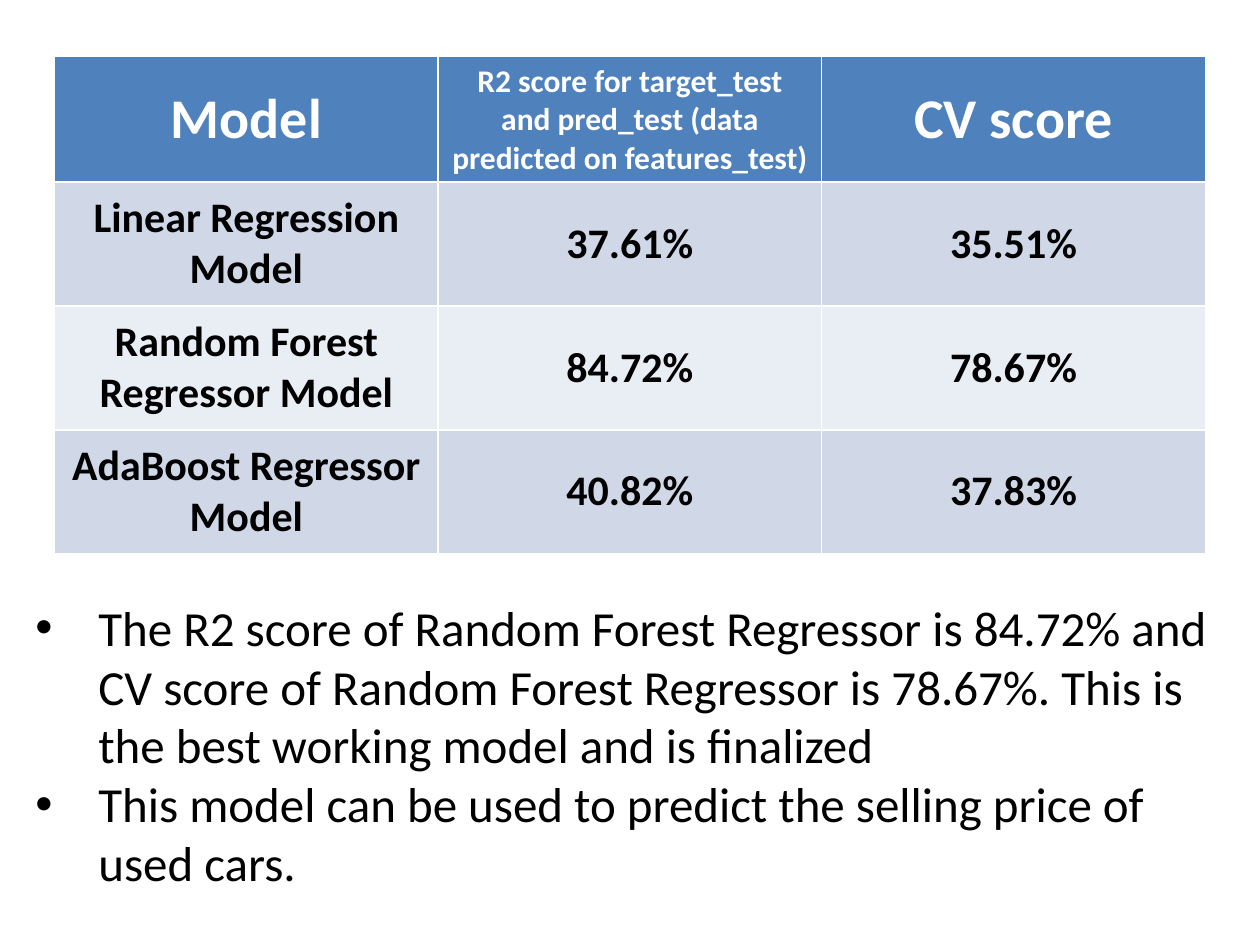
from lxml.etree import SubElement
from pptx import Presentation
from pptx.dml.color import RGBColor
from pptx.enum.text import MSO_ANCHOR, MSO_AUTO_SIZE, PP_ALIGN
from pptx.oxml.ns import qn
from pptx.util import Pt

FONT = "Calibri"
WHITE, BLACK = "FFFFFF", "000000"
HEADER_FILL = "4F81BD"
BAND_FILLS = ("D0D8E8", "E9EDF4")

HEADERS = (
    ("Model", 32),
    ("R2 score for target_test and pred_test (data predicted on features_test)", 18),
    ("CV score", 32),
)
SCORES = (
    ("Linear Regression Model", "37.61%", "35.51%"),
    ("Random Forest Regressor Model", "84.72%", "78.67%"),
    ("AdaBoost Regressor Model", "40.82%", "37.83%"),
)
CONCLUSIONS = (
    "The R2 score of Random Forest Regressor is 84.72% and CV score of Random "
    "Forest Regressor is 78.67%. This is the best working model and is finalized",
    "This model can be used to predict the selling price of used cars.",
)


def color(hex_string):
    return RGBColor.from_string(hex_string)


def write_text(paragraph, text, *, size, text_color=BLACK, bold=False, align=PP_ALIGN.LEFT):
    paragraph.alignment = align
    run = paragraph.add_run()
    run.text = text
    run.font.name = FONT
    run.font.size = Pt(size)
    run.font.bold = bold
    run.font.color.rgb = color(text_color)


def fill_cell(cell, text, fill, **text_format):
    cell.fill.solid()
    cell.fill.fore_color.rgb = color(fill)
    cell.vertical_anchor = MSO_ANCHOR.MIDDLE
    write_text(cell.text_frame.paragraphs[0], text, bold=True,
               align=PP_ALIGN.CENTER, **text_format)


def add_score_table(slide):
    """Add the table; its default style draws the white rules between cells."""
    rows, columns = len(SCORES) + 1, len(HEADERS)
    frame = slide.shapes.add_table(rows, columns, Pt(31.2), Pt(32),
                                   Pt(657.6), Pt(70.8 * rows))
    table = frame.table
    for column, (text, size) in enumerate(HEADERS):
        fill_cell(table.cell(0, column), text, HEADER_FILL, size=size, text_color=WHITE)
    for row, values in enumerate(SCORES):
        for column, text in enumerate(values):
            fill_cell(table.cell(row + 1, column), text,
                      BAND_FILLS[row % len(BAND_FILLS)], size=24)


def set_bullet(paragraph, indent):
    properties = paragraph._p.get_or_add_pPr()
    properties.set("marL", str(Pt(indent)))
    properties.set("indent", str(-Pt(indent)))
    SubElement(properties, qn("a:buFont")).set("typeface", "Arial")
    SubElement(properties, qn("a:buChar")).set("char", "•")


def write_conclusions(body):
    body.left, body.top = Pt(13), Pt(337.7)
    body.width, body.height = Pt(686), Pt(177)
    text_frame = body.text_frame
    text_frame.word_wrap = True
    text_frame.auto_size = MSO_AUTO_SIZE.SHAPE_TO_FIT_TEXT
    for index, text in enumerate(CONCLUSIONS):
        paragraph = text_frame.add_paragraph() if index else text_frame.paragraphs[0]
        paragraph.space_before = Pt(0)
        set_bullet(paragraph, 36)
        write_text(paragraph, text, size=28)


def main():
    presentation = Presentation()
    presentation.slide_width, presentation.slide_height = Pt(720), Pt(540)
    slide = presentation.slides.add_slide(presentation.slide_layouts[1])
    title = slide.shapes.title
    title.element.getparent().remove(title.element)
    add_score_table(slide)
    write_conclusions(slide.placeholders[1])
    presentation.save("out.pptx")


if __name__ == "__main__":
    main()
